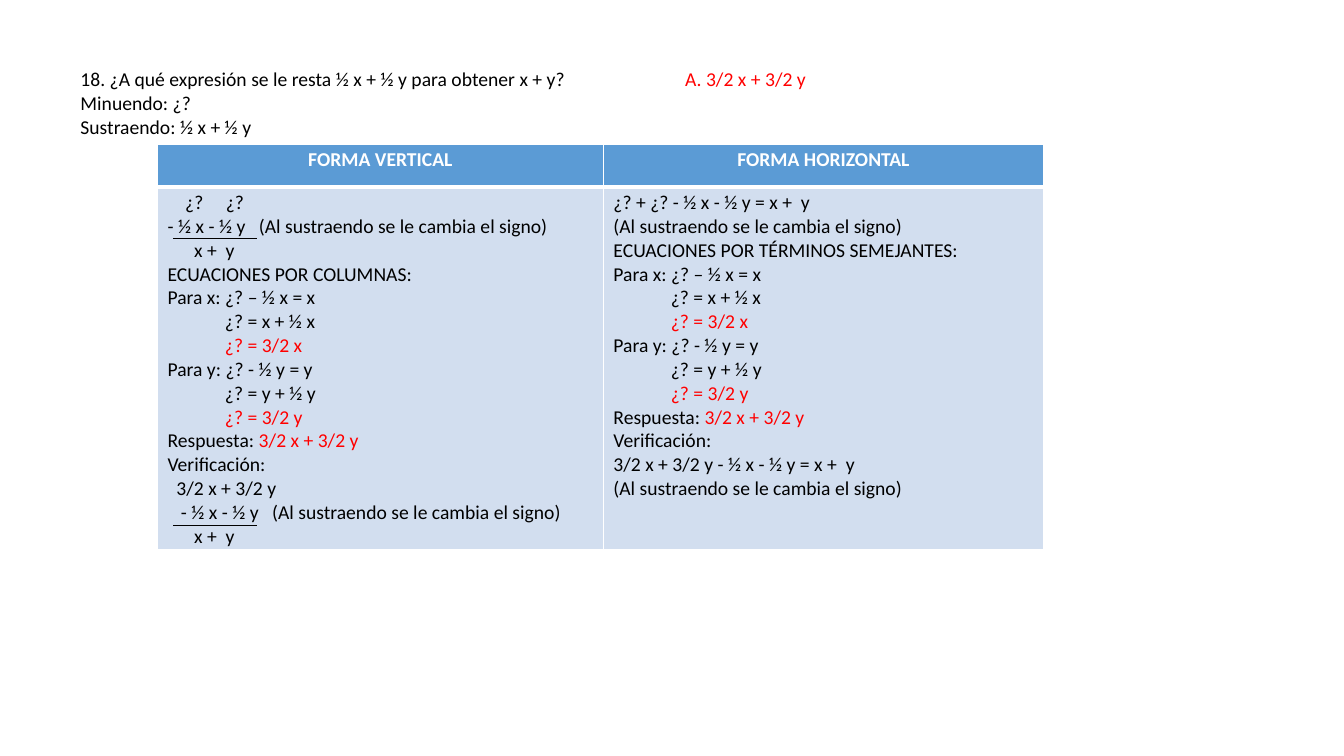
from dataclasses import dataclass

from lxml import etree
from pptx import Presentation
from pptx.dml.color import RGBColor
from pptx.enum.shapes import MSO_CONNECTOR
from pptx.enum.text import MSO_AUTO_SIZE, PP_ALIGN
from pptx.oxml.ns import qn
from pptx.util import Pt

STRAIGHT = MSO_CONNECTOR.STRAIGHT
CENTER = PP_ALIGN.CENTER
LEFT = PP_ALIGN.LEFT
GROW = MSO_AUTO_SIZE.SHAPE_TO_FIT_TEXT
COLORS = {
    "text": "000000",
    "answer": "FF0000",
    "white": "FFFFFF",
    "header": "5B9BD5",
    "body": "D2DEEF",
}
CELL_MARGINS = {"margin_left": 7.2, "margin_right": 7.2, "margin_top": 2.9, "margin_bottom": 0}
STEP = 41
ANSWER = "3/2 x + 3/2 y"
NOTE = "(Al sustraendo se le cambia el signo)"


@dataclass
class Line:
    """One line of working, with an optional answer after it."""

    text: str
    answer: str = ""
    indent: float = 0
    tabs: tuple = ()


def color(name):
    """Return the named colour."""
    return RGBColor.from_string(COLORS[name])


def solve(letter, dash):
    """Return the three lines that solve for one letter."""
    return [
        Line(f"Para {letter}: ¿? {dash} ½ {letter} = {letter}"),
        Line(f"¿? = {letter} + ½ {letter}", indent=STEP),
        Line("", f"¿? = 3/2 {letter}", indent=STEP),
    ]


class SlideBuilder:
    """Holds the text style and the current slide."""

    def __init__(self, slide, font="Calibri", size=14):
        """Keep the slide and its style."""
        self.slide = slide
        self.font = {"name": font, "size": Pt(size)}

    def span(self, para, text, ink, bold):
        """Add a run of text."""
        span = para.add_run()
        span.text = text
        for name, value in {**self.font, "bold": bold}.items():
            setattr(span.font, name, value)
        span.font.color.rgb = color(ink)

    def fill_frame(self, frame, lines, ink="text", bold=False, align=LEFT):
        """Fill a text frame with lines."""
        for index, line in enumerate(lines):
            para = frame.add_paragraph() if index else frame.paragraphs[0]
            para.alignment = align
            properties = para._p.get_or_add_pPr()
            if line.indent:
                properties.set("marL", str(Pt(line.indent)))
            if line.tabs:
                stops = etree.SubElement(properties, qn("a:tabLst"))
                for stop in line.tabs:
                    etree.SubElement(stops, qn("a:tab"), pos=str(Pt(stop)), algn="l")
            for text, span_ink in ((line.text, ink), (line.answer, "answer")):
                if text:
                    self.span(para, text, span_ink, bold)

    def text(self, left, top, width, height, lines):
        """Add a text box."""
        box = self.slide.shapes.add_textbox(Pt(left), Pt(top), Pt(width), Pt(height))
        for name, value in {"word_wrap": True, "auto_size": GROW}.items():
            setattr(box.text_frame, name, value)
        self.fill_frame(box.text_frame, lines)

    def cell(self, cell, lines, fill, borders, **style):
        """Fill and outline a table cell."""
        for name, value in CELL_MARGINS.items():
            setattr(cell, name, Pt(value))
        self.fill_frame(cell.text_frame, lines, **style)
        properties = cell._tc.get_or_add_tcPr()
        for side, width in zip("LRTB", borders):
            edge = etree.SubElement(properties, qn(f"a:ln{side}"), w=str(Pt(width)))
            paint = etree.SubElement(edge, qn("a:solidFill"))
            etree.SubElement(paint, qn("a:srgbClr"), val=COLORS["white"])
        cell.fill.solid()
        cell.fill.fore_color.rgb = color(fill)

    def table(self, left, top, widths, heights, columns):
        """Add a table with a header row over a body row."""
        table = self.slide.shapes.add_table(
            len(heights), len(widths), Pt(left), Pt(top), Pt(sum(widths)), Pt(sum(heights))
        ).table
        for row, height in zip(table.rows, heights):
            row.height = Pt(height)
        for index, (width, (heading, lines)) in enumerate(zip(widths, columns)):
            table.columns[index].width = Pt(width)
            self.cell(table.cell(0, index), [Line(heading)], "header", (1, 1, 1, 3),
                      ink="white", bold=True, align=CENTER)
            self.cell(table.cell(1, index), lines, "body", (1, 1, 3, 1))

    def rule(self, left, top, width):
        """Add a thin horizontal line."""
        rule = self.slide.shapes.add_connector(
            STRAIGHT, Pt(left), Pt(top), Pt(left + width), Pt(top)
        )
        rule.line.width = Pt(0.5)
        rule.line.color.rgb = color("text")
        etree.SubElement(rule._element.spPr, qn("a:effectLst"))


def main():
    """Build the slide and save it."""
    deck = Presentation()
    deck.slide_width, deck.slide_height = Pt(960), Pt(540)
    page = SlideBuilder(deck.slides.add_slide(deck.slide_layouts[6]))

    page.text(50.4, 44.6, 640, 58.3, [
        Line("18. ¿A qué expresión se le resta ½ x + ½ y para obtener x + y?\t",
             f"A. {ANSWER}", tabs=(432,)),
        Line("Minuendo: ¿?"),
        Line("Sustraendo: ½ x + ½ y"),
    ])

    solution = [
        *solve("x", "–"),
        *solve("y", "-"),
        Line("Respuesta: ", ANSWER),
        Line("Verificación:"),
    ]
    total = Line("x +  y", indent=19)
    vertical = [
        Line("\t¿?\t¿?", tabs=(12.6, 41.6)),
        Line(f"- ½ x - ½ y\t{NOTE}", tabs=(65.2,)),
        total,
        Line("ECUACIONES POR COLUMNAS:"),
        *solution,
        Line(ANSWER, indent=6.3),
        Line(f"\t- ½ x - ½ y\t{NOTE}", tabs=(9.5, 74.7)),
        total,
    ]
    horizontal = [
        Line("¿? + ¿? - ½ x - ½ y = x +  y"),
        Line(NOTE),
        Line("ECUACIONES POR TÉRMINOS SEMEJANTES:"),
        *solution,
        Line(f"{ANSWER} - ½ x - ½ y = x +  y"),
        Line(NOTE),
    ]
    page.table(112.5, 103, (318.5, 314.5), (30.4, 259), [
        ("FORMA VERTICAL", vertical),
        ("FORMA HORIZONTAL", horizontal),
    ])
    for top in (170.4, 375.1):
        page.rule(123.8, top, 60)
    deck.save("out.pptx")


if __name__ == "__main__":
    main()
